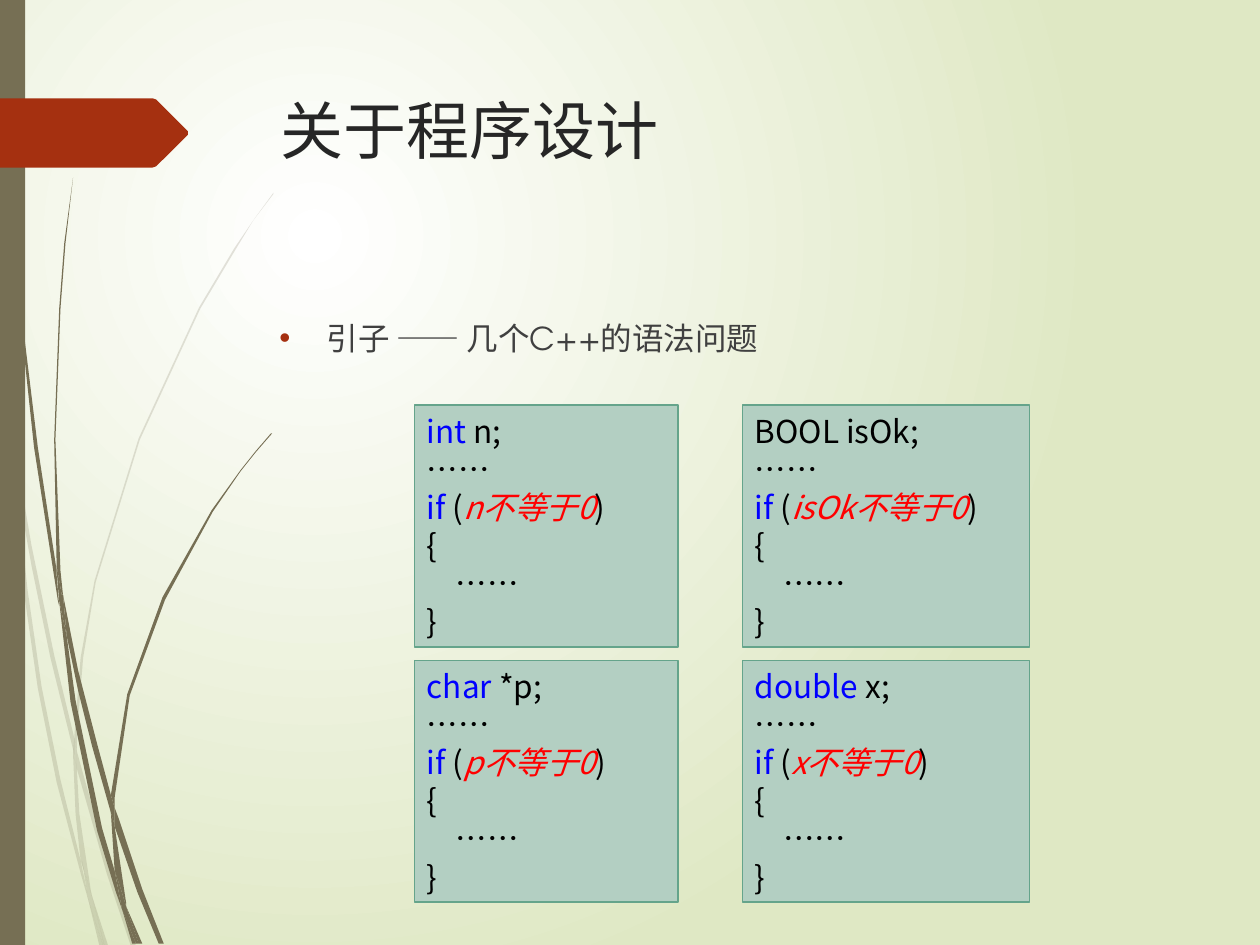
from pptx import Presentation
from pptx.dml.color import RGBColor
from pptx.enum.shapes import MSO_SHAPE
from pptx.enum.text import MSO_ANCHOR, MSO_AUTO_SIZE, PP_ALIGN
from pptx.oxml import parse_xml
from pptx.oxml.ns import nsdecls, qn
from pptx.util import Pt

RECTANGLE = MSO_SHAPE.RECTANGLE
TOP = MSO_ANCHOR.TOP
LEFT = PP_ALIGN.LEFT
GROW = MSO_AUTO_SIZE.SHAPE_TO_FIT_TEXT

OLIVE, RUST = "766F54", "A53010"
BLACK, BLUE, RED = "000000", "0000FF", "FF0000"
GRID = Pt(0.72)  # one unit of the outline coordinates

# Outlines as x,y pairs on the grid
PALE_STALKS = [
    "8,350 6,322 0,282 0,299 7,344",
    "40,522 59,599 59,586 43,520 25,433 10,345 12,376 25,449",
    "64,607 61,596 61,610 85,694 104,751 108,751 88,692",
    "83,751 86,751 73,711",
    "64,683 48,619 33,545 22,469 12,376 8,350 19,470 30,546 45,621 64,693 70,714 69,707",
    "58,599 60,646 64,683 67,692 73,711 72,706 63,646 61,610 61,608",
    "61,584 66,522 76,462 111,349 159,245 187,198 201,175 217,154 217,153 "
    "201,175 186,197 158,244 110,348 75,461 64,522 59,584 59,586 61,596",
    "70,714 79,751 82,751",
    "61,608 61,610 61,596 59,586 58,599",
    "67,692 65,683 69,707 70,714 82,751 83,751 73,711",
]
DARK_STALKS = [
    "5,110 14,233 27,355 46,477 47,481 45,457 45,453 30,355 15,232 6,109 4,48 3,0 2,0 3,48",
    "73,592 88,645 88,633 88,631 77,590 62,532 50,472 53,505 62,548",
    "94,649 91,641 91,656 109,708 126,749 130,749 113,706",
    "91,691 81,657 60,556 53,505 47,477 56,557 77,659 92,708 97,722 96,717",
    "50,472 48,453 44,349 48,245 52,193 58,141 51,193 47,245 43,349 45,449 49,472",
    "110,749 113,749 100,719",
    "47,477 53,505 50,472 49,472 45,449 45,453",
    "91,633 103,552 131,476 169,406 191,374 203,359 216,344 215,344 "
    "203,358 191,373 168,405 129,474 101,551 88,631 91,641",
    "97,722 105,749 108,749",
    "88,645 91,691 96,706 100,719 100,716 91,656 90,651",
    "88,645 90,651 91,656 91,641 88,631 88,633",
    "96,706 91,691 96,717 97,722 108,749 110,749 100,719",
]
TITLE_ARROW = "0,78 121,78 124,79 149,104 149,107 124,132 121,133 0,133"


def color(hex_value):
    return RGBColor.from_string(hex_value)


class SlideBuilder:
    """Holds the text style and the current slide."""

    heading_font = "TeX Gyre Adventor"
    code_font = "Noto Sans CJK SC"
    code_size = 18
    code_line = 21.8
    code_indent = 16.5

    def __init__(self, slide):
        self.slide = slide

    def background(self, center, edge):
        fill = self.slide.background.fill
        fill.gradient()
        for stop, hex_value in zip(fill.gradient_stops, (center, edge)):
            stop.color.rgb = color(hex_value)
        gradient = self.slide.background._cSld.find(".//" + qn("a:gradFill"))
        gradient.replace(gradient.find(qn("a:lin")), parse_xml(
            f'<a:path {nsdecls("a")} path="circle">'
            '<a:fillToRect l="50000" t="50000" r="100000" b="100000"/></a:path>'))

    def paint(self, shape, fill, line=None, opacity=100):
        shape.shadow.inherit = False
        shape.fill.solid()
        shape.fill.fore_color.rgb = color(fill)
        if opacity < 100:
            shape.fill._xPr.find(".//" + qn("a:srgbClr")).append(
                parse_xml(f'<a:alpha {nsdecls("a")} val="{opacity * 1000}"/>'))
        if line:
            shape.line.color.rgb = color(line)
            shape.line.width = Pt(0.75)
        else:
            shape.line.fill.background()

    def outline(self, points, fill, opacity=100):
        start, *rest = [tuple(map(int, pair.split(","))) for pair in points.split()]
        builder = self.slide.shapes.build_freeform(*start, scale=GRID)
        builder.add_line_segments(rest, close=True)
        self.paint(builder.convert_to_shape(), fill, opacity=opacity)

    def rectangle(self, left, top, width, height, fill, line=None):
        shape = self.slide.shapes.add_shape(
            RECTANGLE, Pt(left), Pt(top), Pt(width), Pt(height))
        self.paint(shape, fill, line)
        return shape

    def run(self, paragraph, text, font, size, hex_value, italic=False):
        run = paragraph.add_run()
        run.text = text
        run.font.name = font
        run.font.size = Pt(size)
        run.font.color.rgb = color(hex_value)
        run.font.italic = italic
        run.font._element.find(qn("a:latin")).addnext(
            parse_xml(f'<a:ea {nsdecls("a")} typeface="{self.code_font}"/>'))

    def heading(self, left, top, width, height, text, size, hex_value):
        box = self.slide.shapes.add_textbox(Pt(left), Pt(top), Pt(width), Pt(height))
        box.text_frame.word_wrap = True
        paragraph = box.text_frame.paragraphs[0]
        self.run(paragraph, text, self.heading_font, size, hex_value)
        return paragraph

    def bullet(self, paragraph, hex_value, indent):
        paragraph.line_spacing = 1.5
        paragraph.space_before = Pt(10)
        properties = paragraph._p.get_or_add_pPr()
        properties.set("marL", str(Pt(indent)))
        properties.set("indent", str(-Pt(indent)))
        for xml in (f'<a:buClr {nsdecls("a")}><a:srgbClr val="{hex_value}"/></a:buClr>',
                    f'<a:buFont {nsdecls("a")} typeface="Arial"/>',
                    f'<a:buChar {nsdecls("a")} char="•"/>'):
            properties.append(parse_xml(xml))

    def code_box(self, left, top, width, height, keyword, declaration, variable):
        shape = self.rectangle(left, top, width, height, "B3CFC2", "65A48B")
        frame = shape.text_frame
        frame.word_wrap = True
        frame.auto_size = GROW
        frame.vertical_anchor = TOP
        lines = [
            [(keyword, BLUE), (declaration, BLACK)],
            [("……", BLACK)],
            [("if", BLUE), (" (", BLACK), (f"{variable}不等于0", RED), (")", BLACK)],
            [("{", BLACK)],
            [("……", BLACK)],
            [("}", BLACK)],
        ]
        for number, line in enumerate(lines):
            paragraph = frame.add_paragraph() if number else frame.paragraphs[0]
            paragraph.alignment = LEFT
            paragraph.line_spacing = Pt(self.code_line)
            if number == 4:  # body of the if block
                paragraph._p.get_or_add_pPr().set("marL", str(Pt(self.code_indent)))
            for text, hex_value in line:
                if text:
                    self.run(paragraph, text, self.code_font, self.code_size,
                             hex_value, italic=hex_value == RED)


def main():
    presentation = Presentation()
    presentation.slide_width, presentation.slide_height = Pt(720), Pt(540)
    builder = SlideBuilder(presentation.slides.add_slide(presentation.slide_layouts[6]))

    # Background and side decoration
    builder.background("FFFFFF", "DFE8C4")
    for points in PALE_STALKS:
        builder.outline(points, OLIVE, opacity=20)
    for points in DARK_STALKS:
        builder.outline(points, OLIVE)
    builder.rectangle(0, 0, 14.4, 540, OLIVE)
    builder.outline(TITLE_ARROW, RUST)

    # Title and lead-in
    builder.heading(153.4, 49, 519, 100.8, "关于程序设计", 36, "262626")
    lead = builder.heading(152.6, 167.8, 519, 297.4,
                           "引子 —— 几个C++的语法问题", 18, "404040")
    builder.bullet(lead, RUST, 27)

    # Code examples, two by two
    columns = [(236.9, 150.5), (424.1, 164.2)]
    rows = [231.5, 377.3]
    examples = [("int", " n;", "n"), ("", "BOOL isOk;", "isOk"),
                ("char", " *p;", "p"), ("double", " x;", "x")]
    for index, example in enumerate(examples):
        left, width = columns[index % 2]
        builder.code_box(left, rows[index // 2], width, 138.2, *example)

    presentation.save("out.pptx")


if __name__ == "__main__":
    main()
